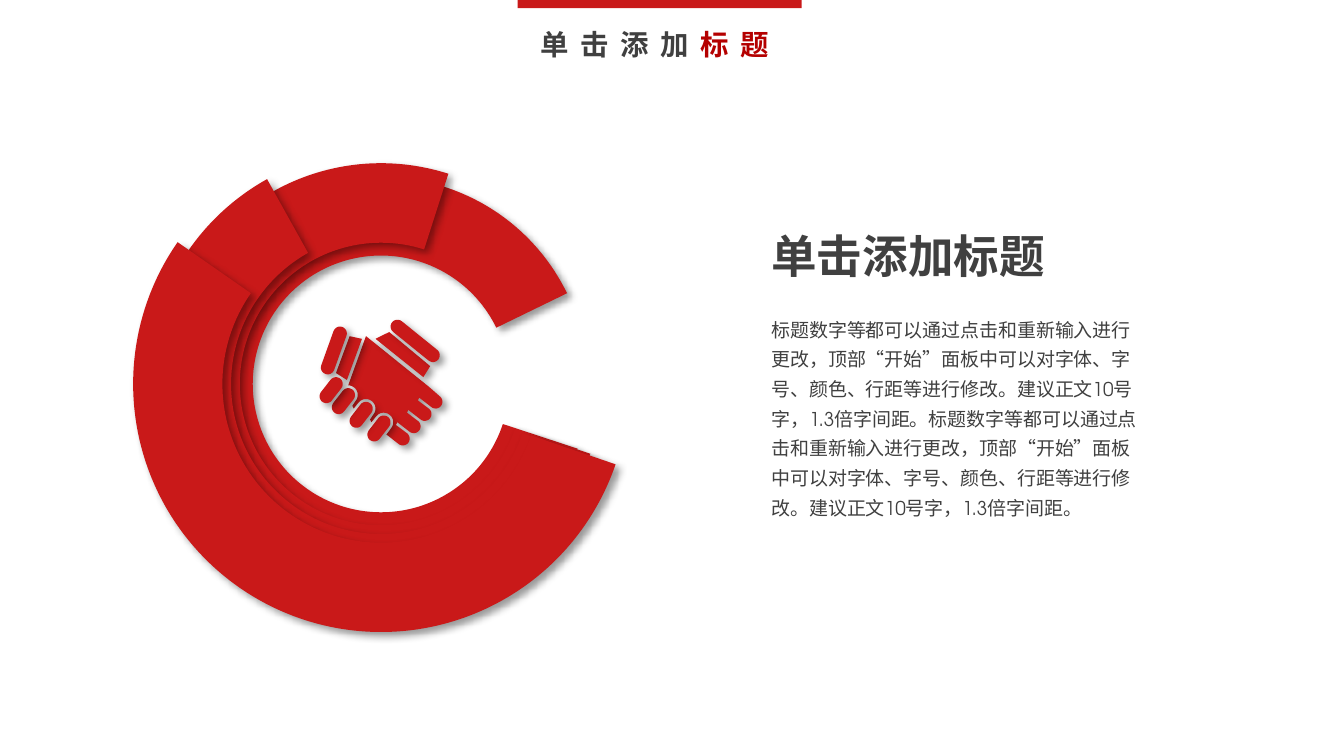
from dataclasses import dataclass
from math import atan2, cos, degrees, radians, sin
from typing import NamedTuple

from lxml import etree
from pptx import Presentation
from pptx.dml.color import RGBColor
from pptx.enum.shapes import MSO_SHAPE
from pptx.enum.text import MSO_ANCHOR, MSO_AUTO_SIZE, PP_ALIGN
from pptx.oxml.ns import qn
from pptx.util import Inches, Pt

RED = RGBColor(0xC9, 0x19, 0x19)
DARK_RED = RGBColor(0xB4, 0x00, 0x00)
GRAY = RGBColor(0x40, 0x40, 0x40)
WHITE = RGBColor(0xFF, 0xFF, 0xFF)

BLOCK_ARC = MSO_SHAPE.BLOCK_ARC
RECTANGLE = MSO_SHAPE.RECTANGLE
TOP = MSO_ANCHOR.TOP
LEFT = PP_ALIGN.LEFT
FIT_SHAPE = MSO_AUTO_SIZE.SHAPE_TO_FIT_TEXT

TITLE_FONT = "Calibri"
BODY_FONT = "TeX Gyre Adventor"
BODY_SENTENCES = (
    "标题数字等都可以通过点击和重新输入进行更改，"
    "顶部“开始”面板中可以对字体、字号、颜色、行距等进行修改。"
    "建议正文10号字，1.3倍字间距。"
)


class Point(NamedTuple):
    x: float
    y: float

    def shifted(self, right: float, down: float) -> "Point":
        return Point(self.x + right, self.y + down)


@dataclass(frozen=True)
class RingSegment:
    start_degrees: float
    end_degrees: float
    thickness: float


@dataclass(frozen=True)
class Capsule:
    first: Point
    second: Point


@dataclass(frozen=True)
class TextBlock:
    left: float
    top: float
    width: float
    height: float
    text: str
    size: int
    bold: bool
    wrap: bool


RING_CENTER = Point(2.79, 2.81)
INNER_DIAMETER = 3.03
DIAMETER_STEP = 0.2
RING = (
    RingSegment(18.22, 334.02, 0.19),
    RingSegment(18.44, 287.78, 0.18),
    RingSegment(19.19, 240.89, 0.18),
    RingSegment(18.91, 214.86, 0.18),
)

FINGER_RADIUS = 0.05
NOTCH_RADIUS = 0.07
FINGERTIPS = [Point(3.19, 2.94).shifted(-0.08 * i, 0.09 * i) for i in range(4)]
NOTCHED_KNUCKLES = [Point(2.81, 3.09).shifted(-0.13 * i, -0.1 * i) for i in range(3)]
LAST_KNUCKLE = Point(2.46, 2.81)
THUMBS = [
    Capsule(Point(2.91, 2.39), Point(3.17, 2.6)),
    Capsule(Point(2.49, 2.44), Point(2.4, 2.69)),
]
KNUCKLES = [
    Capsule(center, center.shifted(-0.07, 0.09))
    for center in [*NOTCHED_KNUCKLES, LAST_KNUCKLE]
]
UPPER_CUFF = [Point(3.15, 2.68), Point(3.1, 2.76), Point(2.75, 2.48), Point(2.85, 2.43)]
LOWER_CUFF = [Point(2.65, 2.48), Point(2.54, 2.78), Point(2.46, 2.73), Point(2.56, 2.46)]
WRIST_EDGE = [Point(2.68, 2.46), Point(3.14, 2.83)]

TEXT_BLOCKS = (
    TextBlock(5.55, 2.23, 2.89, 1.62, BODY_SENTENCES * 2, 10, False, True),
    TextBlock(5.55, 1.5, 2.22, 0.57, "单击添加标题", 24, True, False),
)


def arc_points(center: Point, radius: float, start: float, end: float) -> list[Point]:
    steps = 12
    angles = [radians(start + (end - start) * i / steps) for i in range(steps + 1)]
    return [center.shifted(radius * cos(angle), radius * sin(angle)) for angle in angles]


def capsule_outline(capsule: Capsule) -> list[Point]:
    first, second = capsule.first, capsule.second
    heading = degrees(atan2(second.y - first.y, second.x - first.x))
    far_end = arc_points(second, FINGER_RADIUS, heading - 90, heading + 90)
    near_end = arc_points(first, FINGER_RADIUS, heading + 90, heading + 270)
    return far_end + near_end


def palm_outline() -> list[Point]:
    outline = list(WRIST_EDGE)
    for tip in FINGERTIPS:
        outline += arc_points(tip, FINGER_RADIUS, -50, 130)
        outline.append(tip.shifted(-0.12, -0.03))
        if tip != FINGERTIPS[-1]:
            outline.append(tip.shifted(-0.13, -0.01))
    for knuckle in NOTCHED_KNUCKLES:
        if knuckle != NOTCHED_KNUCKLES[-1]:
            outline += arc_points(knuckle, NOTCH_RADIUS, 40, -140)
            outline += [knuckle.shifted(-0.09, 0), knuckle.shifted(-0.1, -0.02)]
        else:
            outline += arc_points(knuckle, NOTCH_RADIUS, 40, -90)
    return outline


def paint_red(shape) -> None:
    shape.shadow.inherit = False
    shape.fill.solid()
    shape.fill.fore_color.rgb = RED
    shape.line.fill.background()


def add_soft_shadow(shape) -> None:
    effects = shape.element.spPr.find(qn("a:effectLst"))
    shadow = etree.SubElement(
        effects, qn("a:outerShdw"), blurRad=str(Pt(4)), dist=str(Pt(3)),
        dir=str(45 * 60000), algn="tl", rotWithShape="0",
    )
    color = etree.SubElement(shadow, qn("a:srgbClr"), val="000000")
    etree.SubElement(color, qn("a:alpha"), val="40000")


def draw_ring(page) -> None:
    for index, segment in enumerate(RING):
        diameter = INNER_DIAMETER + index * DIAMETER_STEP
        left, top = (Inches(center - diameter / 2) for center in RING_CENTER)
        arc = page.shapes.add_shape(BLOCK_ARC, left, top, Inches(diameter), Inches(diameter))
        arc.adjustments[0] = segment.start_degrees * 0.6
        arc.adjustments[1] = segment.end_degrees * 0.6
        arc.adjustments[2] = segment.thickness
        paint_red(arc)
        add_soft_shadow(arc)


def draw_handshake(page) -> None:
    capsules = [capsule_outline(capsule) for capsule in THUMBS + KNUCKLES]
    for outline in [palm_outline(), UPPER_CUFF, LOWER_CUFF, *capsules]:
        corners = [(Inches(point.x), Inches(point.y)) for point in outline]
        builder = page.shapes.build_freeform(*corners[0])
        builder.add_line_segments(corners[1:], close=True)
        part = builder.convert_to_shape()
        paint_red(part)
        add_soft_shadow(part)


def format_span(span, font_name: str, size: int, color: RGBColor, bold: bool) -> None:
    span.font.name = font_name
    span.font.size = Pt(size)
    span.font.color.rgb = color
    span.font.bold = bold


def draw_text_block(page, block: TextBlock) -> None:
    box = page.shapes.add_textbox(
        Inches(block.left), Inches(block.top), Inches(block.width), Inches(block.height)
    )
    frame = box.text_frame
    frame.text = block.text
    frame.word_wrap = block.wrap
    frame.auto_size = FIT_SHAPE
    para = frame.paragraphs[0]
    para.line_spacing = 1.3
    format_span(para.runs[0], BODY_FONT, block.size, GRAY, block.bold)


def draw_title(page) -> None:
    title = page.shapes.title
    title.left, title.top = Inches(3.89), Inches(0.16)
    title.width, title.height = Inches(3.08), Inches(0.33)
    frame = title.text_frame
    frame.margin_left = frame.margin_right = Inches(0.07)
    frame.margin_top = frame.margin_bottom = Inches(0.04)
    frame.vertical_anchor = TOP
    frame.word_wrap = True
    frame.auto_size = FIT_SHAPE
    para = frame.paragraphs[0]
    para.text = "单击添加"
    para.add_run().text = "标题"
    para.alignment = LEFT
    for span, color in zip(para.runs, (GRAY, DARK_RED)):
        format_span(span, TITLE_FONT, 15, color, True)
    for properties in title.element.iter(qn("a:rPr")):
        properties.set("spc", "600")


def main() -> None:
    deck = Presentation()
    deck.slide_width, deck.slide_height = Inches(9.84), Inches(5.51)
    page = deck.slides.add_slide(deck.slide_layouts[5])
    page.background.fill.solid()
    page.background.fill.fore_color.rgb = WHITE
    draw_ring(page)
    draw_handshake(page)
    for block in TEXT_BLOCKS:
        draw_text_block(page, block)
    paint_red(page.shapes.add_shape(RECTANGLE, Inches(3.79), 0, Inches(2.08), Inches(0.06)))
    draw_title(page)
    deck.save("out.pptx")


if __name__ == "__main__":
    main()
